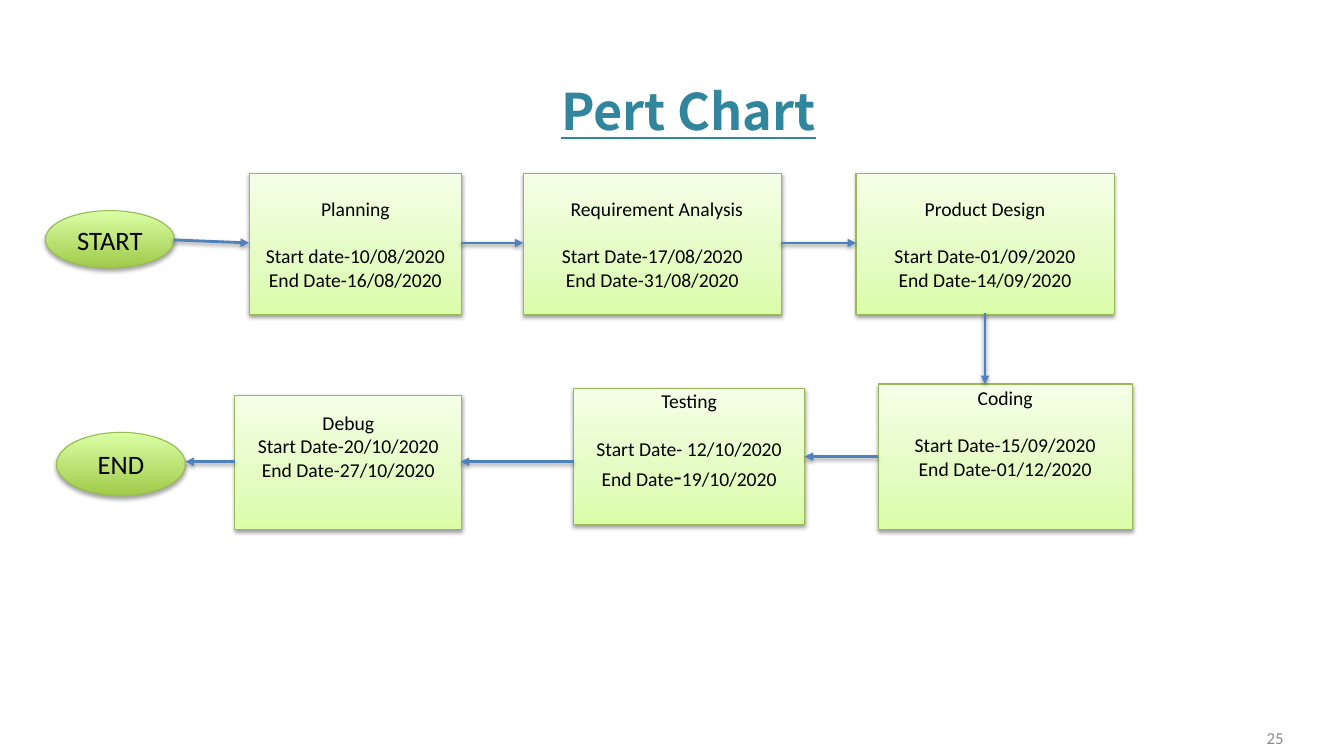
from dataclasses import dataclass

from lxml import etree
from pptx import Presentation
from pptx import util as u
from pptx.dml.color import RGBColor
from pptx.enum import shapes, text
from pptx.oxml import ns

BODY_FONT = "Calibri"
TITLE_FONT = "Noto Sans CJK SC"
BLACK = "000000"
BORDER = "98B955"
ARROW = "4F81BD"
BOX_GRADIENT = [(0, "DAFDA7"), (35, "E4FCC2"), (100, "F5FFE7")]
OVAL_GRADIENT = [(0, "A0CA4A"), (100, "DAFFA5")]
BLANK_LINE = 17  # points, one line of 14 pt text


@dataclass
class Task:
    left: float
    top: float
    width: float
    height: float
    name: str
    start: str
    end: tuple[str, ...]  # pieces; a dash on its own is set larger
    gap: float = BLANK_LINE  # points between name and dates
    space_below: float = 0  # inches kept free under the text
    name_indent: float = 0


@dataclass
class Terminal:
    left: float
    top: float
    width: float
    height: float
    name: str


@dataclass
class Arrow:
    x1: float
    y1: float
    x2: float
    y2: float


TASKS = [
    Task(2.47, 1.72, 2.11, 1.4, "Planning",
         "Start date-10/08/2020", ("End Date-16/08/2020",)),
    Task(5.19, 1.72, 2.56, 1.4, "Requirement Analysis",
         "Start Date-17/08/2020", ("End Date-31/08/2020",), name_indent=0.09),
    Task(8.49, 1.72, 2.56, 1.4, "Product Design",
         "Start Date-01/09/2020", ("End Date-14/09/2020",)),
    Task(8.71, 3.81, 2.52, 1.44, "Coding",
         "Start Date-15/09/2020", ("End Date-01/12/2020",), space_below=0.47),
    Task(5.69, 3.85, 2.29, 1.35, "Testing",
         "Start Date- 12/10/2020", ("End Date", "-", "19/10/2020"), space_below=0.31),
    Task(2.33, 3.92, 2.25, 1.33, "Debug",
         "Start Date-20/10/2020", ("End Date-27/10/2020",), gap=0, space_below=0.32),
]
TERMINALS = [
    Terminal(0.45, 2.09, 1.28, 0.57, "START"),
    Terminal(0.56, 4.29, 1.28, 0.63, "END"),
]
ARROWS = [
    Arrow(1.72, 2.38, 2.47, 2.41),
    Arrow(4.57, 2.41, 5.19, 2.41),
    Arrow(7.75, 2.41, 8.49, 2.41),
    Arrow(9.77, 3.11, 9.77, 3.81),
    Arrow(8.71, 4.53, 7.98, 4.53),
    Arrow(5.69, 4.58, 4.57, 4.58),
    Arrow(2.33, 4.58, 1.84, 4.58),
]


def colour(value: str) -> RGBColor:
    return RGBColor.from_string(value)


def inches(*values: float) -> list[u.Length]:
    return [u.Inches(value) for value in values]


def add_element(parent, tag: str, **attributes):
    values = {key: str(value) for key, value in attributes.items()}
    return etree.SubElement(parent, ns.qn(tag), values)


def write(paragraph, content: str, *, size: float = 14, font: str = BODY_FONT,
          color: str = BLACK, bold: bool = False, underline: bool = False,
          align=text.PP_ALIGN.CENTER) -> None:
    paragraph.alignment = align
    run = paragraph.add_run()
    run.text = content
    run.font.size = u.Pt(size)
    run.font.name = font
    run.font.color.rgb = colour(color)
    run.font.bold = bold
    run.font.underline = underline


def add_shadow(shape, opacity: int, distance: float) -> None:
    effects = add_element(shape._element.spPr, "a:effectLst")
    shadow = add_element(effects, "a:outerShdw", blurRad=u.Pt(3.1), dist=u.Pt(distance),
                         dir=90 * 60000, rotWithShape=0)
    black = add_element(shadow, "a:srgbClr", val=BLACK)
    add_element(black, "a:alpha", val=opacity * 1000)


def add_node(slide, preset, node: Task | Terminal, gradient: list[tuple[int, str]],
             opacity: int, distance: float):
    shape = slide.shapes.add_shape(
        preset, *inches(node.left, node.top, node.width, node.height))
    shape.fill.gradient()
    shape.fill.gradient_angle = 90
    stops = shape._element.spPr.find(".//" + ns.qn("a:gsLst"))
    for stop in list(stops):
        stops.remove(stop)
    for position, value in gradient:
        stop = add_element(stops, "a:gs", pos=position * 1000)
        add_element(stop, "a:srgbClr", val=value)
    shape.line.color.rgb = colour(BORDER)
    shape.line.width = u.Pt(0.75)
    add_shadow(shape, opacity, distance)
    shape.text_frame.vertical_anchor = text.MSO_ANCHOR.MIDDLE
    return shape


def add_task(slide, task: Task) -> None:
    shape = add_node(slide, shapes.MSO_SHAPE.RECTANGLE, task, BOX_GRADIENT, 38, 1.6)
    frame = shape.text_frame
    frame.margin_top = 0
    frame.margin_bottom = u.Inches(task.space_below)
    name = frame.paragraphs[0]
    if task.name_indent:
        name._p.get_or_add_pPr().set("marL", str(u.Inches(task.name_indent)))
    write(name, task.name)
    start = frame.add_paragraph()
    start.space_before = u.Pt(task.gap)
    write(start, task.start)
    end = frame.add_paragraph()
    for piece in task.end:
        write(end, piece, size=19 if piece == "-" else 14)


def add_terminal(slide, terminal: Terminal) -> None:
    shape = add_node(slide, shapes.MSO_SHAPE.OVAL, terminal, OVAL_GRADIENT, 35, 1.8)
    write(shape.text_frame.paragraphs[0], terminal.name, size=19)


def add_arrow(slide, arrow: Arrow) -> None:
    connector = slide.shapes.add_connector(
        shapes.MSO_CONNECTOR.STRAIGHT, *inches(arrow.x1, arrow.y1, arrow.x2, arrow.y2))
    connector.line.color.rgb = colour(ARROW)
    connector.line.width = u.Pt(2)
    add_element(connector.line._get_or_add_ln(), "a:tailEnd", type="triangle")
    add_shadow(connector, 38, 1.6)


def main() -> None:
    presentation = Presentation()
    presentation.slide_width, presentation.slide_height = inches(13.33, 7.5)
    slide = presentation.slides.add_slide(presentation.slide_layouts[5])

    # Title
    title = slide.shapes.title
    title.left, title.top, title.width, title.height = inches(0.83, 0.47, 12, 1.25)
    title.text_frame.vertical_anchor = text.MSO_ANCHOR.MIDDLE
    title.text_frame.auto_size = text.MSO_AUTO_SIZE.NONE
    write(title.text_frame.paragraphs[0], "Pert Chart", size=36, font=TITLE_FONT,
          color="31859C", bold=True, underline=True)

    # Page number
    number = slide.shapes.add_textbox(*inches(9.72, 7.12, 3.11, 0.4)).text_frame
    number.word_wrap = True
    number.vertical_anchor = text.MSO_ANCHOR.MIDDLE
    write(number.paragraphs[0], "25", size=12, color="8C8C8C", align=text.PP_ALIGN.RIGHT)

    # Flow from start to end
    for task in TASKS:
        add_task(slide, task)
    for terminal in TERMINALS:
        add_terminal(slide, terminal)
    for arrow in ARROWS:
        add_arrow(slide, arrow)

    presentation.save("out.pptx")


if __name__ == "__main__":
    main()
